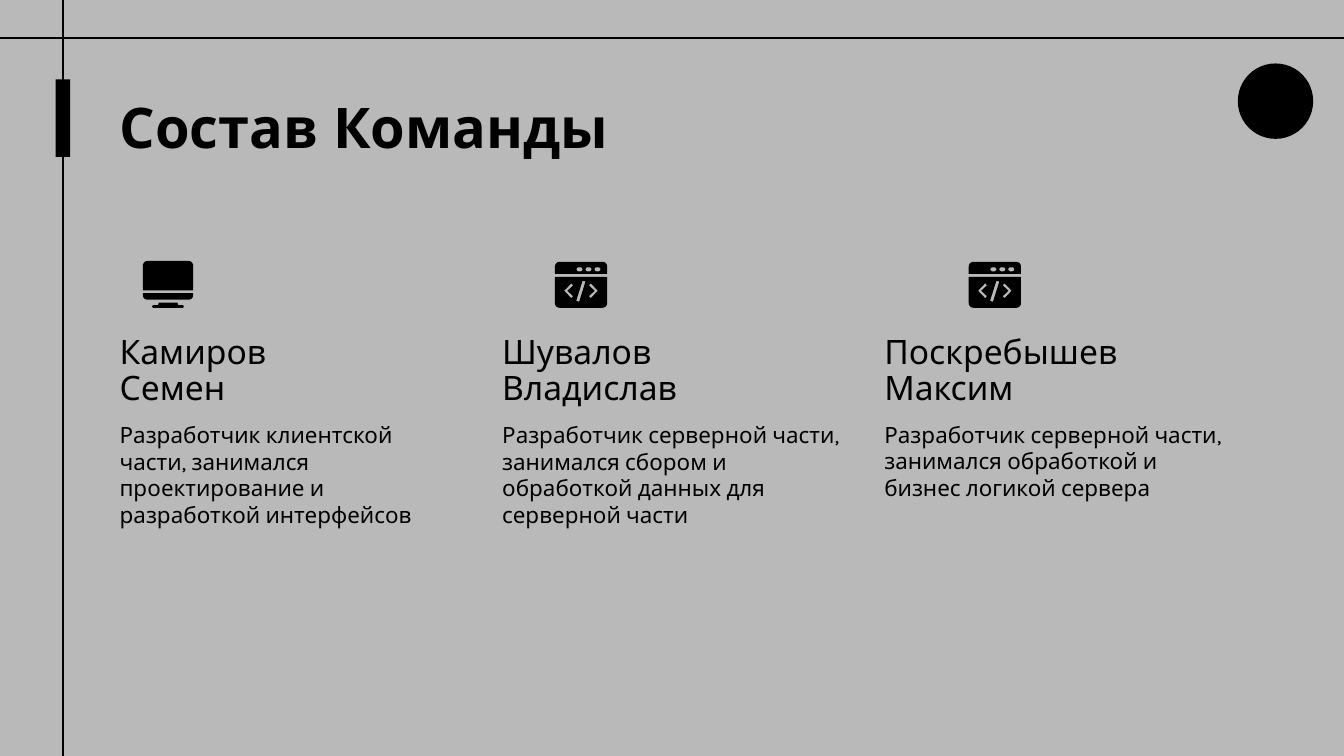
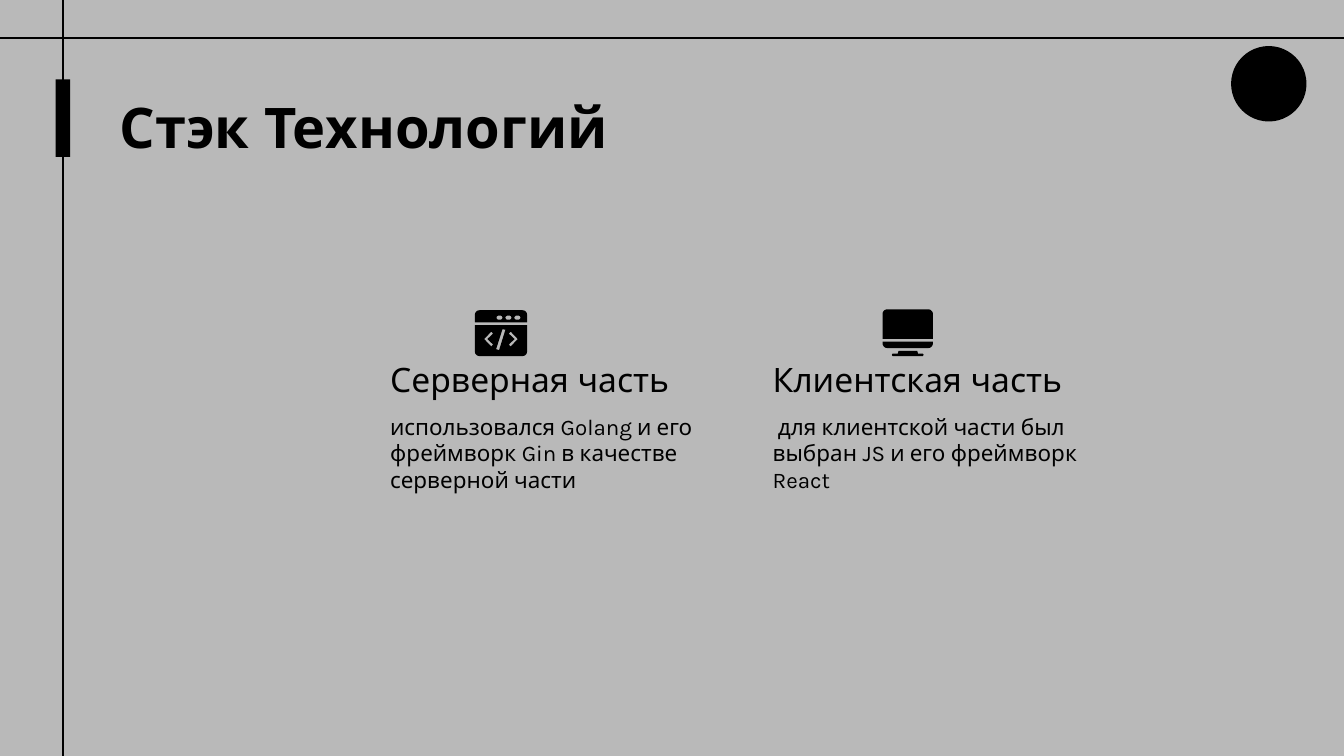
import math

import pptx
import pptx.dml.color
import pptx.enum.shapes
import pptx.enum.text
import pptx.oxml
import pptx.util
from lxml import etree

Pt = pptx.util.Pt
SHAPES = pptx.enum.shapes.MSO_SHAPE
ANCHOR = pptx.enum.text.MSO_ANCHOR

COLORS = {"paper": "B9B9B9", "ink": "000000"}
FONTS = {"heading": "Noto Sans", "body": "Karla"}

SLIDES = [
    {
        "title": "Состав Команды",
        "left": 56.9,
        "top": 172.1,
        "circle": (663.1, 34),
        "columns": [
            ("Камиров\nСемен",
             "Разработчик клиентской части, занимался проектирование и разработкой интерфейсов",
             "monitor", (76.5, 139.8)),
            ("Шувалов\nВладислав",
             "Разработчик серверной части, занимался сбором и обработкой данных для серверной части",
             "code", (297.3, 140.3)),
            ("Поскребышев\nМаксим",
             "Разработчик серверной части, занимался обработкой и бизнес логикой сервера",
             "code", (519, 140.3)),
        ],
    },
    {
        "title": "Стэк Технологий",
        "left": 201.8,
        "top": 167.8,
        "circle": (659.5, 24.7),
        "columns": [
            ("Серверная часть",
             "использовался Golang и его фреймворк Gin в качестве серверной части",
             "code", (254.4, 166.2)),
            ("Клиентская часть",
             " для клиентской части был выбран JS и его фреймворк React",
             "monitor", (472.8, 165.7)),
        ],
    },
]

COLUMN_STEP = 204.9
COLUMN_WIDTH = 196.6
NAME_HEIGHT = 53.3
BODY_OFFSET = 46.1
BODY_HEIGHT = 112.3
CIRCLE_SIZE = 40.4


def rounded(x, y, width, height, top=0, bottom=0):
    corners = [
        (x + top, y + top, top, 180),
        (x + width - top, y + top, top, 270),
        (x + width - bottom, y + height - bottom, bottom, 0),
        (x + bottom, y + height - bottom, bottom, 90),
    ]
    return [
        (cx + radius * math.cos(math.radians(start + turn)),
         cy + radius * math.sin(math.radians(start + turn)))
        for cx, cy, radius, start in corners
        for turn in ((0, 18, 36, 54, 72, 90) if radius else (0,))
    ]


CHEVRON = [(8.8, 11.5), (9.8, 12.6), (6.7, 15.5), (9.8, 18.4), (8.8, 19.5), (5, 15.5)]
SLASH = [(14.8, 10.2), (16.4, 10.5), (13, 21.4), (11.4, 20.9)]
STAND = [(8.6, 22.3), (18.6, 22.3), (19, 23.7), (21.6, 23.7), (22, 24.4),
         (21.6, 25.1), (5.4, 25.1), (5, 24.4), (5.4, 23.7), (8.2, 23.7)]

ICONS = {
    "code": [
        [rounded(0, 0, 28, 6.5, top=2.5)]
        + [rounded(x, 2.9, 3.2, 2.2, 1.1, 1.1) for x in (11.6, 16.4, 21.2)],
        [rounded(0, 8, 28, 16.6, bottom=2.5),
         CHEVRON, [(28 - x, y) for x, y in CHEVRON], SLASH],
    ],
    "monitor": [
        [STAND],
        [rounded(0, 17.3, 27, 3.5, bottom=2.6)],
        [rounded(0, 0, 27, 15.8, top=2.6)],
    ],
}


def color(name):
    return pptx.dml.color.RGBColor.from_string(COLORS[name])


def paint(shape):
    shape.shadow.inherit = False
    shape.fill.solid()
    shape.fill.fore_color.rgb = color("ink")
    shape.line.fill.background()


def place(shape, left, top, width, height):
    shape.left, shape.top = Pt(left), Pt(top)
    shape.width, shape.height = Pt(width), Pt(height)


def write(box, text, font, size, bold=False, anchor=ANCHOR.TOP, spacing=1.0):
    frame = box.text_frame
    frame.text = text
    frame.word_wrap = True
    frame.auto_size = pptx.enum.text.MSO_AUTO_SIZE.NONE
    frame.vertical_anchor = anchor
    frame.margin_left = frame.margin_right = Pt(7.2)
    frame.margin_top = frame.margin_bottom = Pt(7.2)
    for para in frame.paragraphs:
        para.alignment = pptx.enum.text.PP_ALIGN.LEFT
        para.space_before = para.space_after = Pt(0)
        para.line_spacing = spacing
        properties = para._p.get_or_add_pPr()
        properties.set("marL", "0")
        properties.set("indent", "0")
        etree.SubElement(properties, pptx.oxml.ns.qn("a:buNone"))
        for span in para.runs:
            span.font.name = FONTS[font]
            span.font.size = Pt(size)
            span.font.bold = bold
            span.font.color.rgb = color("ink")


def add_rule(page, *ends):
    rule = page.shapes.add_connector(
        pptx.enum.shapes.MSO_CONNECTOR.STRAIGHT, *map(Pt, ends))
    rule.line.color.rgb = color("ink")
    rule.line.width = Pt(0.75)
    etree.SubElement(rule._element.spPr, pptx.oxml.ns.qn("a:effectLst"))


def add_preset(page, kind, *bounds):
    paint(page.shapes.add_shape(kind, *map(Pt, bounds)))


def add_icon(page, name, left, top):
    for contours in ICONS[name]:
        builder = None
        for contour in contours:
            points = [(Pt(left + x), Pt(top + y)) for x, y in contour]
            if builder is None:
                builder = page.shapes.build_freeform(*points[0])
            else:
                builder.move_to(*points[0])
            builder.add_line_segments(points[1:], close=True)
        paint(builder.convert_to_shape())


def add_page(deck, content):
    page = deck.slides.add_slide(deck.slide_layouts.get_by_name("Comparison"))
    bodies = iter([holder for holder in page.placeholders
                   if holder.placeholder_format.idx != 0])

    def next_box(*bounds):
        box = next(bodies, None) or page.shapes.add_textbox(0, 0, 0, 0)
        place(box, *bounds)
        return box

    add_rule(page, 33.8, 406.8, 33.8, -1.4)
    add_rule(page, 726.5, 20.3, -6.5, 20.3)
    add_preset(page, SHAPES.RECTANGLE, 29.8, 42.5, 7.8, 41.6)
    place(page.shapes.title, 56.9, 42.5, 606.2, 45.1)
    write(page.shapes.title, content["title"], "heading", 30, bold=True)

    top = content["top"]
    for index, (name, role, icon, corner) in enumerate(content["columns"]):
        left = content["left"] + index * COLUMN_STEP
        write(next_box(left, top, COLUMN_WIDTH, NAME_HEIGHT), name,
              "heading", 18, anchor=ANCHOR.BOTTOM, spacing=0.88)
        write(next_box(left, top + BODY_OFFSET, COLUMN_WIDTH, BODY_HEIGHT), role,
              "body", 12)
        add_icon(page, icon, *corner)
    add_preset(page, SHAPES.OVAL, *content["circle"], CIRCLE_SIZE, CIRCLE_SIZE)


def main():
    deck = pptx.Presentation()
    deck.slide_width, deck.slide_height = Pt(720), Pt(405)
    background = deck.slide_master.background.fill
    background.solid()
    background.fore_color.rgb = color("paper")
    for content in SLIDES:
        add_page(deck, content)
    deck.save("out.pptx")


if __name__ == "__main__":
    main()
